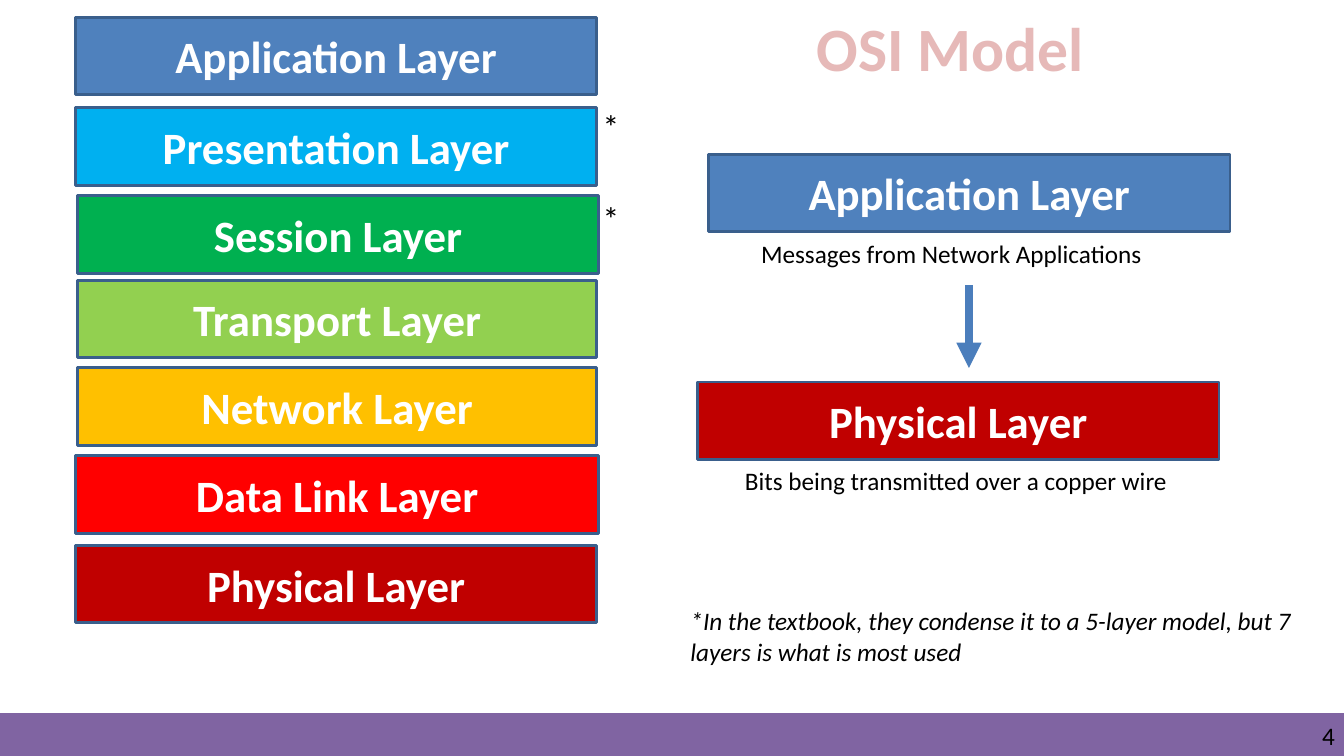
"""Build the OSI model slide."""
import pptx
import pptx.util
import pptx.oxml
import pptx.oxml.ns
import pptx.dml.color
import pptx.enum.text
import pptx.enum.shapes
from lxml import etree

Inches, Pt = pptx.util.Inches, pptx.util.Pt
ALIGN = pptx.enum.text.PP_ALIGN
ANCHOR = pptx.enum.text.MSO_ANCHOR
RECT = pptx.enum.shapes.MSO_SHAPE.RECTANGLE
qn = pptx.oxml.ns.qn

COLORS = {
    "app": "4F81BD", "show": "00B0F0", "session": "00B050", "move": "92D050",
    "net": "FFC000", "link": "FF0000", "phys": "C00000", "edge": "3A5F8C",
    "bar": "8064A2", "arrow": "4B7EBC", "title": "E6B9B8", "rim": "C0504D",
    "white": "FFFFFF", "black": "000000",
}
HIGH = 0.77
LAYERS = [
    ("Application Layer", "app", 0.75, 0.17, 5.17),
    ("Presentation Layer", "show", 0.75, 1.07, 5.17),
    ("Session Layer", "session", 0.77, 1.94, 5.17),
    ("Transport Layer", "move", 0.77, 2.78, 5.15),
    ("Network Layer", "net", 0.77, 3.65, 5.15),
    ("Data Link Layer", "link", 0.75, 4.52, 5.19),
    ("Physical Layer", "phys", 0.75, 5.41, 5.17),
    ("Application Layer", "app", 7.03, 1.53, 5.17),
    ("Physical Layer", "phys", 6.92, 3.79, 5.17),
]
LABELS = [
    ("Messages from Network Applications", (7.45, 2.32, 4.35, 0.4), {}),
    ("Bits being transmitted over a copper wire", (7.29, 4.57, 4.77, 0.4), {}),
    ("*In the textbook, they condense it to a 5-layer model, "
     "but 7 layers is what is most used",
     (6.75, 5.96, 6.34, 0.71), {"italic": True}),
    ("*", (5.88, 1, 0.33, 0.5), {"size": 24}),
    ("*", (5.88, 1.91, 0.33, 0.91), {"size": 24}),
    ("4", (10.17, 7.15, 3.07, 0.3), {"align": ALIGN.RIGHT, "inset": 0}),
]


def rgb(name):
    return pptx.dml.color.RGBColor.from_string(COLORS[name])


def write(shape, text, size=18, color="black", bold=False, italic=False,
          align=ALIGN.LEFT, anchor=ANCHOR.TOP, inset=None):
    frame = shape.text_frame
    frame.word_wrap = True
    frame.vertical_anchor = anchor
    if inset is not None:
        frame.margin_left = frame.margin_right = Inches(inset)
        frame.margin_top = frame.margin_bottom = Inches(inset)
    para = frame.paragraphs[0]
    para.alignment = align
    run = para.add_run()
    run.text = text
    font = run.font
    font.name, font.size = "Calibri", Pt(size)
    font.bold, font.italic = bold, italic
    font.color.rgb = rgb(color)
    return run


def box(slide, place, fill, edge, width):
    shape = slide.shapes.add_shape(RECT, *map(Inches, place))
    shape.shadow.inherit = False
    shape.fill.solid()
    shape.fill.fore_color.rgb = rgb(fill)
    shape.line.color.rgb = rgb(edge)
    shape.line.width = Pt(width)
    return shape


def label(slide, text, place, **style):
    return write(slide.shapes.add_textbox(*map(Inches, place)), text, **style)


def rim(run):
    line = etree.Element(qn("a:ln"), w=str(Pt(1.75)))
    fill = etree.SubElement(line, qn("a:solidFill"))
    etree.SubElement(fill, qn("a:srgbClr"), val=COLORS["rim"])
    run.font._element.insert(0, line)


def arrow(slide, x, top, end):
    kind = pptx.enum.shapes.MSO_CONNECTOR.STRAIGHT
    line = slide.shapes.add_connector(kind, *map(Inches, (x, top, x, end)))
    line.line.color.rgb = rgb("arrow")
    line.line.width = Pt(6)
    etree.SubElement(line.line._get_or_add_ln(), qn("a:tailEnd"), type="triangle")
    etree.SubElement(line._element.spPr, qn("a:effectLst"))


def main():
    deck = pptx.Presentation()
    deck.slide_width, deck.slide_height = Inches(13.33), Inches(7.5)
    slide = deck.slides.add_slide(deck.slide_layouts[6])
    box(slide, (0, 7.08, 13.33, 0.42), "bar", "bar", 1)
    for text, fill, left, top, width in LAYERS:
        shape = box(slide, (left, top, width, HIGH), fill, "edge", 2)
        write(shape, text, size=32, color="white", bold=True,
              align=ALIGN.CENTER, anchor=ANCHOR.MIDDLE)
    rim(label(slide, "OSI Model", (8, 0.05, 3.22, 0.84),
              size=44, color="title", bold=True))
    for text, place, style in LABELS:
        label(slide, text, place, **style)
    arrow(slide, 9.61, 2.83, 3.65)
    deck.save("out.pptx")


if __name__ == "__main__":
    main()
